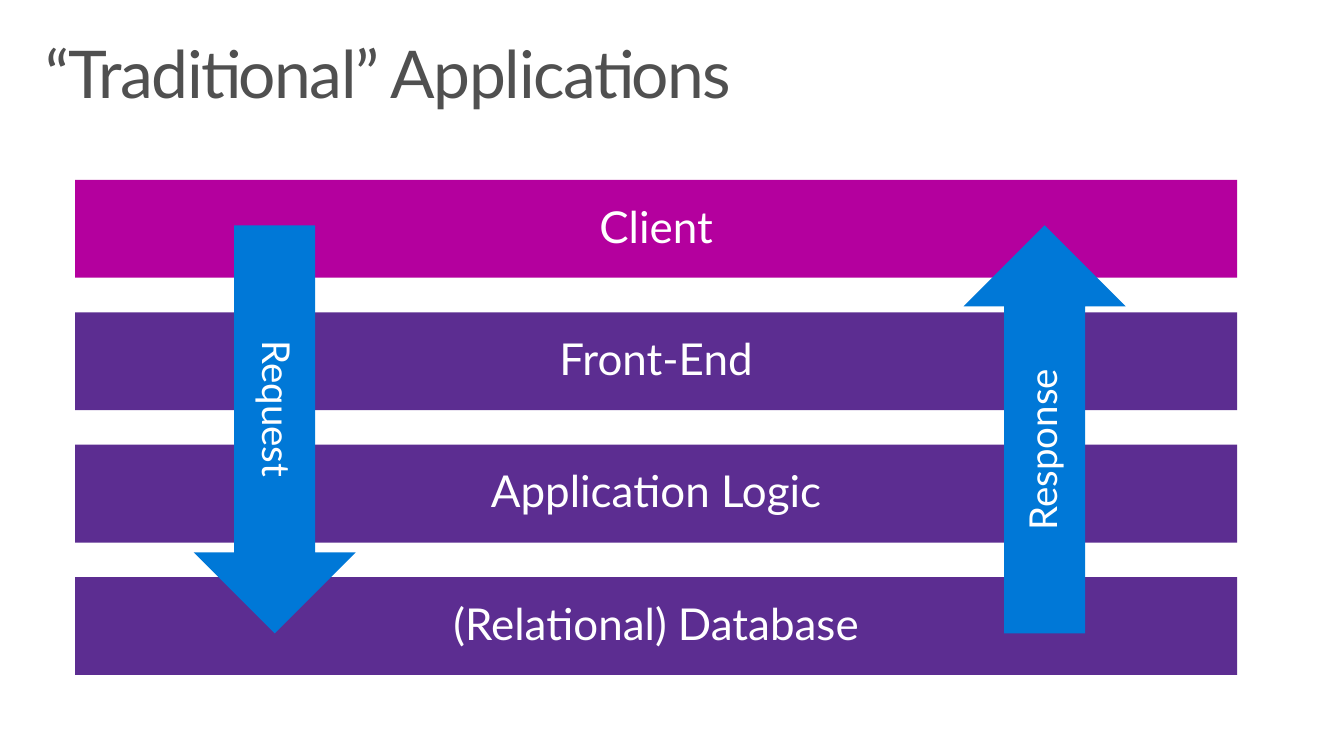
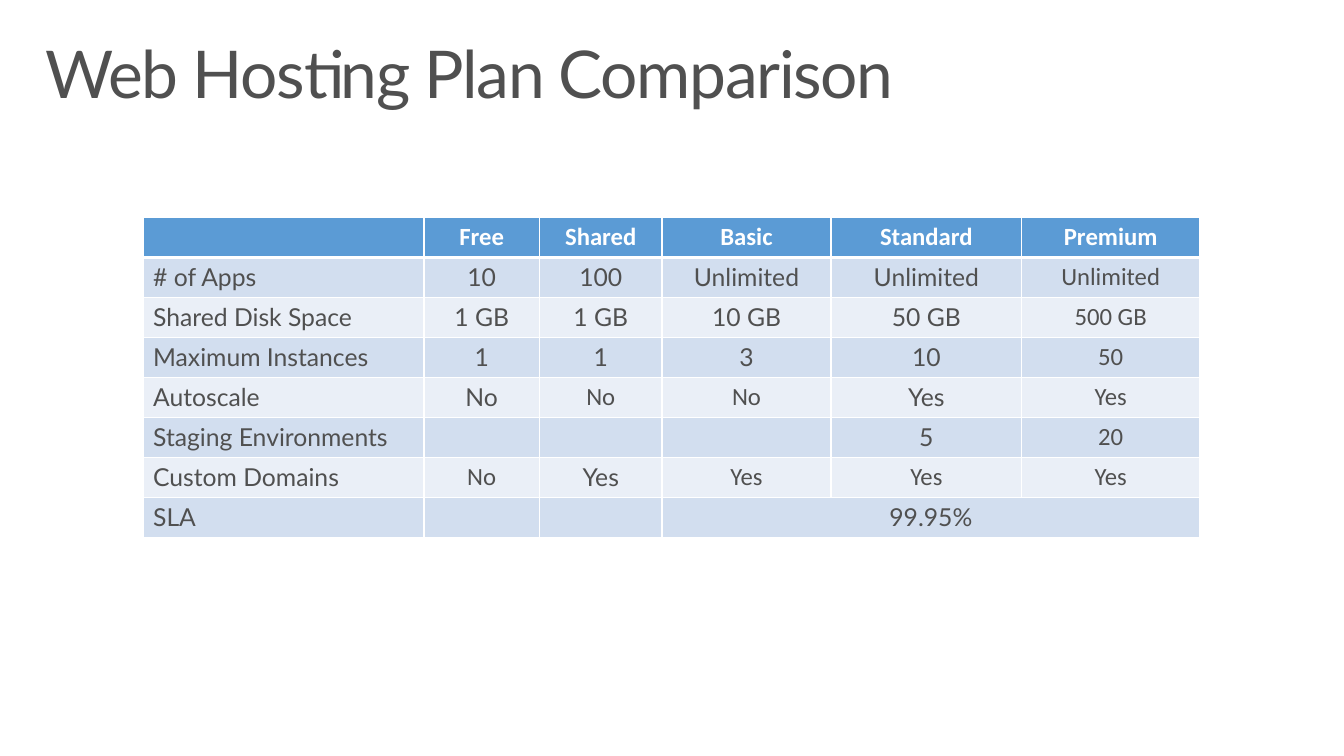
"""Build two slides: a layered application diagram and a hosting plan table."""
from lxml import etree
from pptx import Presentation
from pptx import util as u
from pptx.dml.color import RGBColor
from pptx.enum import shapes, text
from pptx.oxml.ns import qn

WIDTH, HEIGHT = 13.6, 7.65
WHITE, GREY = "FFFFFF", "505050"
PURPLE, MAGENTA, BLUE = "5C2D91", "B4009E", "0078D7"
HEADER, BANDS = "5B9BD5", ("EAEFF7", "D2DEEF")


def paint(fill, colour):
    fill.solid()
    fill.fore_color.rgb = RGBColor.from_string(colour)


def write(frame, words, size, colour, font="Lato", align=text.PP_ALIGN.CENTER, spacing=0.9, bold=False):
    frame.text = words
    para = frame.paragraphs[0]
    para.alignment = align
    para.line_spacing = spacing
    for span in para.runs:
        span.font.size = u.Pt(size)
        span.font.name = font
        span.font.bold = bold
        paint(span.font.fill, colour)


deck = Presentation()
deck.slide_width, deck.slide_height = u.Inches(WIDTH), u.Inches(HEIGHT)

pages = []
for heading in ("“Traditional” Applications", "Web Hosting Plan Comparison"):
    page = deck.slides.add_slide(deck.slide_layouts[6])
    title = page.shapes.add_textbox(u.Inches(0.3), u.Inches(0.32), u.Inches(WIDTH - 0.6), u.Inches(1))
    frame = title.text_frame
    frame.word_wrap = True
    frame.margin_left = frame.margin_right = u.Inches(0.16)
    frame.margin_top = frame.margin_bottom = u.Inches(0.1)
    write(frame, heading, 48, GREY, align=text.PP_ALIGN.LEFT)
    frame.paragraphs[0].runs[0].font._element.set("spc", "-100")
    pages.append(page)
diagram, comparison = pages

LAYER_TOP, LAYER_STEP = 1.82, 1.34
layers = ("Client", "Front-End", "Application Logic", "(Relational) Database")
RECTANGLE, ARROW = shapes.MSO_SHAPE.RECTANGLE, shapes.MSO_SHAPE.DOWN_ARROW
blocks = [
    (RECTANGLE, name, 0.76, LAYER_TOP + row * LAYER_STEP, 11.76, 0.99, PURPLE if row else MAGENTA, 32, 0)
    for row, name in enumerate(layers)
]
blocks += [
    (ARROW, name, left, 2.28, 1.64, 4.13, BLUE, 28, turn)
    for name, left, turn in (("Request", 1.96, 0), ("Response", 9.75, 180))
]
for kind, name, left, top, width, height, colour, size, turn in blocks:
    block = diagram.shapes.add_shape(kind, *(u.Inches(n) for n in (left, top, width, height)))
    block.shadow.inherit = False
    block.line.fill.background()
    block.rotation = turn
    paint(block.fill, colour)
    frame = block.text_frame
    frame.word_wrap = True
    frame.margin_left = frame.margin_right = u.Inches(0.2)
    frame.margin_top = frame.margin_bottom = u.Inches(0.16)
    frame.vertical_anchor = text.MSO_ANCHOR.MIDDLE
    if kind == ARROW:
        frame.vertical_anchor = text.MSO_ANCHOR.TOP
        frame._txBody.bodyPr.set("vert", "vert")
    write(frame, name, size, WHITE)

plans = (
    ("", "Free", "Shared", "Basic", "Standard", "Premium"),
    ("# of Apps", "10", "100", "Unlimited", "Unlimited", "Unlimited"),
    ("Shared Disk Space", "1 GB", "1 GB", "10 GB", "50 GB", "500 GB"),
    ("Maximum Instances", "1", "1", "3", "10", "50"),
    ("Autoscale", "No", "No", "No", "Yes", "Yes"),
    ("Staging Environments", "", "", "", "5", "20"),
    ("Custom Domains", "No", "Yes", "Yes", "Yes", "Yes"),
    ("SLA", "", "", "99.95%", "", ""),
)
column_widths = (2.84, 1.17, 1.24, 1.71, 1.93, 1.8)
TABLE_HEIGHT = 3.24
PREMIUM, SLA_ROW = 5, 7
calibri_cells = {(4, 2), (4, 3), (6, 1), (6, 3), (6, 4)}

table = comparison.shapes.add_table(
    len(plans), len(column_widths), u.Inches(1.45), u.Inches(2.2),
    u.Inches(sum(column_widths)), u.Inches(TABLE_HEIGHT),
).table
for column, width in zip(table.columns, column_widths):
    column.width = u.Inches(width)
for row, values in enumerate(plans):
    table.rows[row].height = u.Inches(TABLE_HEIGHT / len(plans))
    for col, value in enumerate(values):
        cell = table.cell(row, col)
        calibri = row == 0 or (row, col) in calibri_cells or (col == PREMIUM and row < SLA_ROW)
        write(
            cell.text_frame, value, 18, GREY if row else WHITE,
            font="Calibri" if calibri else "Lato",
            align=text.PP_ALIGN.CENTER if col else text.PP_ALIGN.LEFT,
            spacing=1, bold=row == 0,
        )
        paint(cell.fill, BANDS[row % 2] if row else HEADER)
        properties = cell._tc.get_or_add_tcPr()
        heavy = {0: "lnB", 1: "lnT"}.get(row)
        for place, side in enumerate(("lnL", "lnR", "lnT", "lnB")):
            border = etree.Element(qn(f"a:{side}"), w=str(u.Pt(3 if side == heavy else 1)))
            solid = etree.SubElement(border, qn("a:solidFill"))
            etree.SubElement(solid, qn("a:srgbClr"), val=WHITE)
            properties.insert(place, border)
sla = table.cell(SLA_ROW, 3)
sla.merge(table.cell(SLA_ROW, PREMIUM))
sla.vertical_anchor = text.MSO_ANCHOR.MIDDLE

deck.save("out.pptx")
